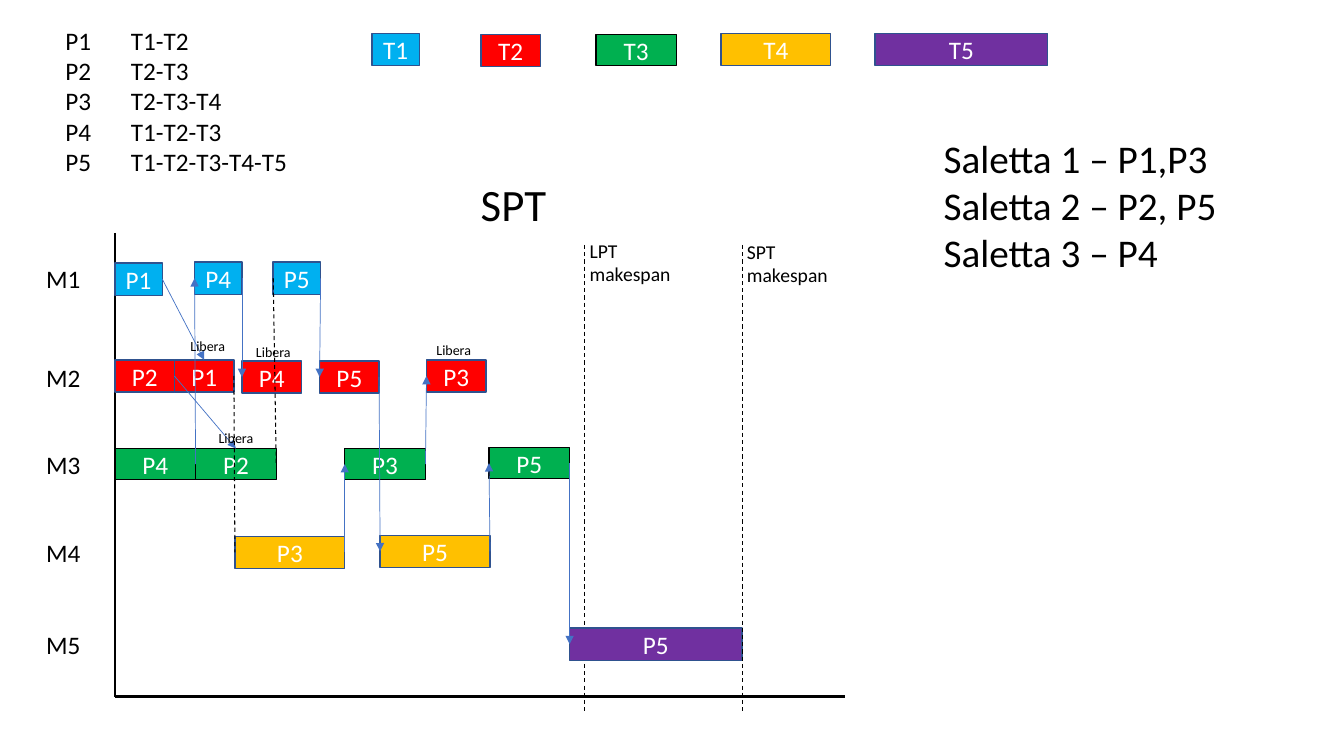
import dataclasses
import typing

import lxml.etree
import pptx
import pptx.dml.color
import pptx.enum.dml
import pptx.enum.shapes
import pptx.enum.text
import pptx.oxml.ns
import pptx.util

SCALE = 9144  # EMU in one px, at 100 px to the inch
TOP, LEFT, RIGHT = 0, 1, 3


@dataclasses.dataclass(frozen=True)
class Theme:
    font: str = "Calibri"
    black: str = "000000"
    white: str = "FFFFFF"
    edge: str = "2F528F"
    arrow: str = "4472C4"
    title: int = 32
    large: int = 28
    body: int = 18
    small: int = 14
    tiny: int = 10


THEME = Theme()


class Task(typing.NamedTuple):
    name: str
    width: int
    height: int
    fill: str
    edge: str
    left: int  # place in the legend
    top: int


class Job(typing.NamedTuple):
    name: str
    row: int  # machine number, which is also the task number
    left: int
    top: int


class Link(typing.NamedTuple):
    start: tuple[str, int]
    side: int
    end: tuple[str, int]
    stop: int
    dashed: bool = False


class Label(typing.NamedTuple):
    text: str
    left: int
    top: int
    width: int
    height: int
    size: int


TASKS = [
    Task("T1", 47, 32, "00B0F0", THEME.edge, 369, 33),
    Task("T2", 59, 32, "FF0000", THEME.edge, 477, 34),
    Task("T3", 80, 31, "00B050", THEME.black, 591, 34),
    Task("T4", 109, 32, "FFC000", THEME.edge, 715, 33),
    Task("T5", 171, 32, "7030A0", THEME.edge, 868, 33),
]

JOBS = [
    Job("P1", 1, 114, 261), Job("P4", 1, 193, 260), Job("P5", 1, 271, 260),
    Job("P2", 2, 114, 357), Job("P1", 2, 173, 357), Job("P4", 2, 240, 358),
    Job("P5", 2, 317, 358), Job("P3", 2, 423, 357),
    Job("P4", 3, 114, 445), Job("P2", 3, 194, 445), Job("P3", 3, 342, 445),
    Job("P5", 3, 485, 444),
    Job("P3", 4, 233, 532), Job("P5", 4, 377, 531),
    Job("P5", 5, 565, 623),
]

LINKS = [
    Link(("P1", 1), RIGHT, ("P1", 2), TOP),
    Link(("P2", 2), RIGHT, ("P2", 3), TOP),
    Link(("P4", 3), RIGHT, ("P4", 1), LEFT),
    Link(("P4", 1), RIGHT, ("P4", 2), LEFT),
    Link(("P3", 4), RIGHT, ("P3", 3), LEFT),
    Link(("P3", 3), RIGHT, ("P3", 2), LEFT),
    Link(("P5", 1), RIGHT, ("P5", 2), LEFT),
    Link(("P5", 2), RIGHT, ("P5", 4), LEFT),
    Link(("P5", 4), RIGHT, ("P5", 3), LEFT),
    Link(("P5", 3), RIGHT, ("P5", 5), LEFT),
    Link(("P1", 2), RIGHT, ("P3", 4), LEFT, dashed=True),
    Link(("P5", 1), LEFT, ("P2", 3), RIGHT, dashed=True),
]

LABELS = [
    *(Label(f"M{row}", 36, top, 60, 40, THEME.body)
      for row, top in enumerate((256, 355, 441, 528, 619), 1)),
    *(Label("Libera", left, top, 55, 27, THEME.tiny)
      for left, top in ((179, 330), (207, 421), (244, 336), (423, 334))),
    Label("LPT makespan", 575, 232, 106, 57, THEME.small),
    Label("SPT makespan", 731, 233, 106, 57, THEME.small),
    Label("Saletta 1 – P1,P3\nSaletta 2 – P2, P5\nSaletta 3 – P4",
          926, 128, 328, 151, THEME.large),
]

PLAN = Label("P1\tT1-T2\nP2\tT2-T3\nP3\tT2-T3-T4\nP4\tT1-T2-T3\n"
             "P5\tT1-T2-T3-T4-T5\nSPT", 55, 20, 634, 215, THEME.body)
PLAN_TAB, SPT_INDENT = 65, 412


def px(count: int) -> pptx.util.Emu:
    return pptx.util.Emu(count * SCALE)


def rgb(code: str) -> pptx.dml.color.RGBColor:
    return pptx.dml.color.RGBColor.from_string(code)


def style(frame, size: int, color: str) -> None:
    """Give every run of a text frame its font, size and colour."""
    for para in frame.paragraphs:
        for run in para.runs:
            run.font.name = THEME.font
            run.font.size = pptx.util.Pt(size)
            run.font.color.rgb = rgb(color)


def add_label(shapes, label: Label):
    box = shapes.add_textbox(px(label.left), px(label.top),
                             px(label.width), px(label.height))
    frame = box.text_frame
    frame.word_wrap = True
    frame.auto_size = pptx.enum.text.MSO_AUTO_SIZE.SHAPE_TO_FIT_TEXT
    frame.text = label.text
    style(frame, label.size, THEME.black)
    return frame


def add_plan(shapes) -> None:
    """Add the task list of each job, with the chart title below it."""
    frame = add_label(shapes, PLAN)
    *rows, title = frame.paragraphs
    make, qn = lxml.etree.SubElement, pptx.oxml.ns.qn
    for row in rows:
        tabs = make(row._p.get_or_add_pPr(), qn("a:tabLst"))
        make(tabs, qn("a:tab"), pos=str(px(PLAN_TAB)), algn="l")
    title._p.get_or_add_pPr().set("marL", str(px(SPT_INDENT)))
    title.runs[0].font.size = pptx.util.Pt(THEME.title)


def add_bar(shapes, text: str, task: Task, left: int, top: int):
    bar = shapes.add_shape(pptx.enum.shapes.MSO_SHAPE.RECTANGLE, px(left),
                           px(top), px(task.width), px(task.height))
    bar.shadow.inherit = False
    bar.fill.solid()
    bar.fill.fore_color.rgb = rgb(task.fill)
    bar.line.color.rgb = rgb(task.edge)
    bar.line.width = pptx.util.Pt(1)
    frame = bar.text_frame
    frame.margin_left = frame.margin_right = 0
    frame.margin_top = frame.margin_bottom = 0
    frame.vertical_anchor = pptx.enum.text.MSO_ANCHOR.MIDDLE
    frame.text = text
    frame.paragraphs[0].alignment = pptx.enum.text.PP_ALIGN.CENTER
    style(frame, THEME.body, THEME.white)
    return bar


def add_line(shapes, ends: tuple[int, int, int, int], color: str,
             width: float, dashed: bool = False, arrow: bool = False):
    line = shapes.add_connector(pptx.enum.shapes.MSO_CONNECTOR.STRAIGHT,
                                *(px(end) for end in ends))
    line.line.color.rgb = rgb(color)
    line.line.width = pptx.util.Pt(width)
    if dashed:
        line.line.dash_style = pptx.enum.dml.MSO_LINE.DASH
    make, qn = lxml.etree.SubElement, pptx.oxml.ns.qn
    if arrow:
        make(line.line._get_or_add_ln(), qn("a:tailEnd"), type="triangle")
    make(line._element.spPr, qn("a:effectLst"))
    return line


def add_link(shapes, link: Link, bars: dict) -> None:
    color, width = (THEME.black, 0.75) if link.dashed else (THEME.arrow, 0.5)
    line = add_line(shapes, (0, 0, 0, 0), color, width,
                    link.dashed, not link.dashed)
    line.begin_connect(bars[link.start], link.side)
    line.end_connect(bars[link.end], link.stop)


def main() -> None:
    deck = pptx.Presentation()
    deck.slide_width, deck.slide_height = px(1333), px(750)
    shapes = deck.slides.add_slide(deck.slide_layouts[6]).shapes

    for axis in ((114, 231, 114, 691), (114, 691, 838, 691)):
        add_line(shapes, axis, THEME.black, 1.5)
    add_plan(shapes)
    for task in TASKS:
        add_bar(shapes, task.name, task, task.left, task.top)

    add_line(shapes, (580, 243, 580, 707), THEME.black, 0.75, dashed=True)
    bars = {(job.name, job.row): add_bar(shapes, job.name, TASKS[job.row - 1],
                                         job.left, job.top) for job in JOBS}
    add_line(shapes, (736, 243, 736, 707), THEME.black, 0.75, dashed=True)
    for link in LINKS:
        add_link(shapes, link, bars)
    for label in LABELS:
        add_label(shapes, label)

    deck.save("out.pptx")


if __name__ == "__main__":
    main()
